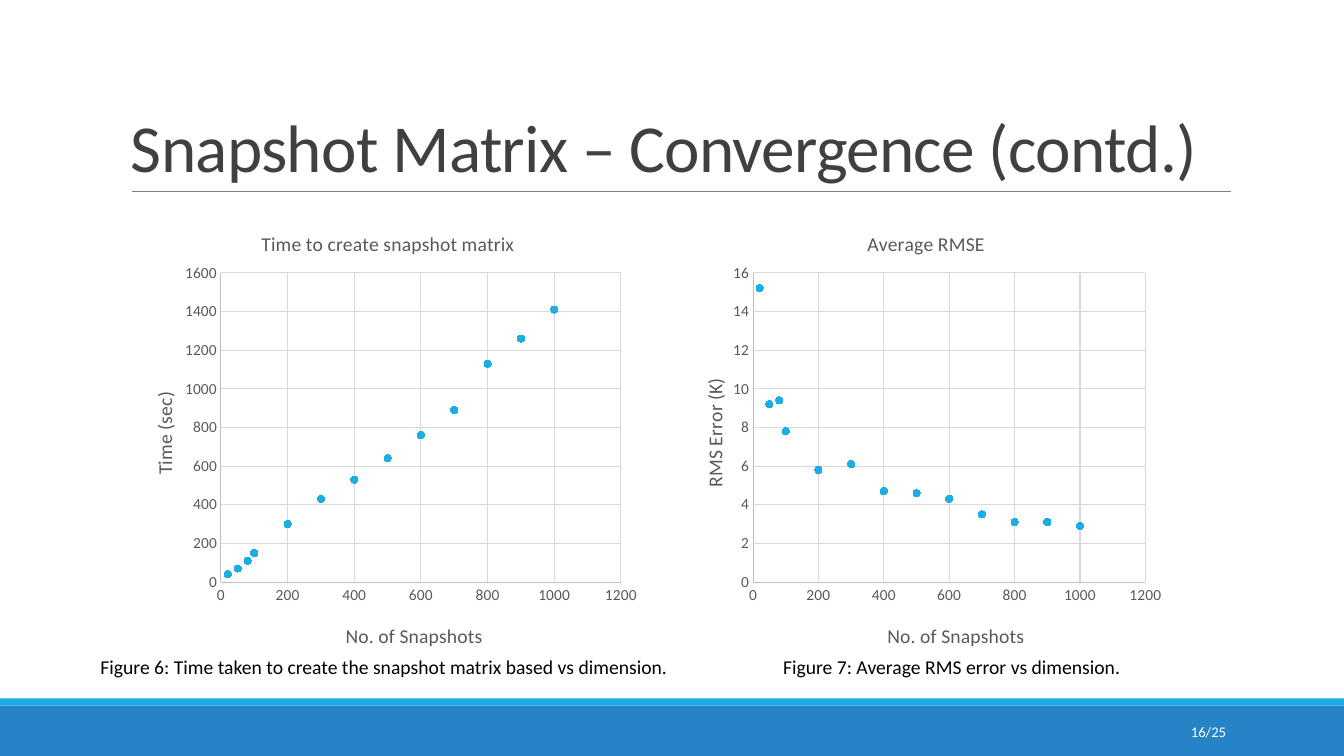
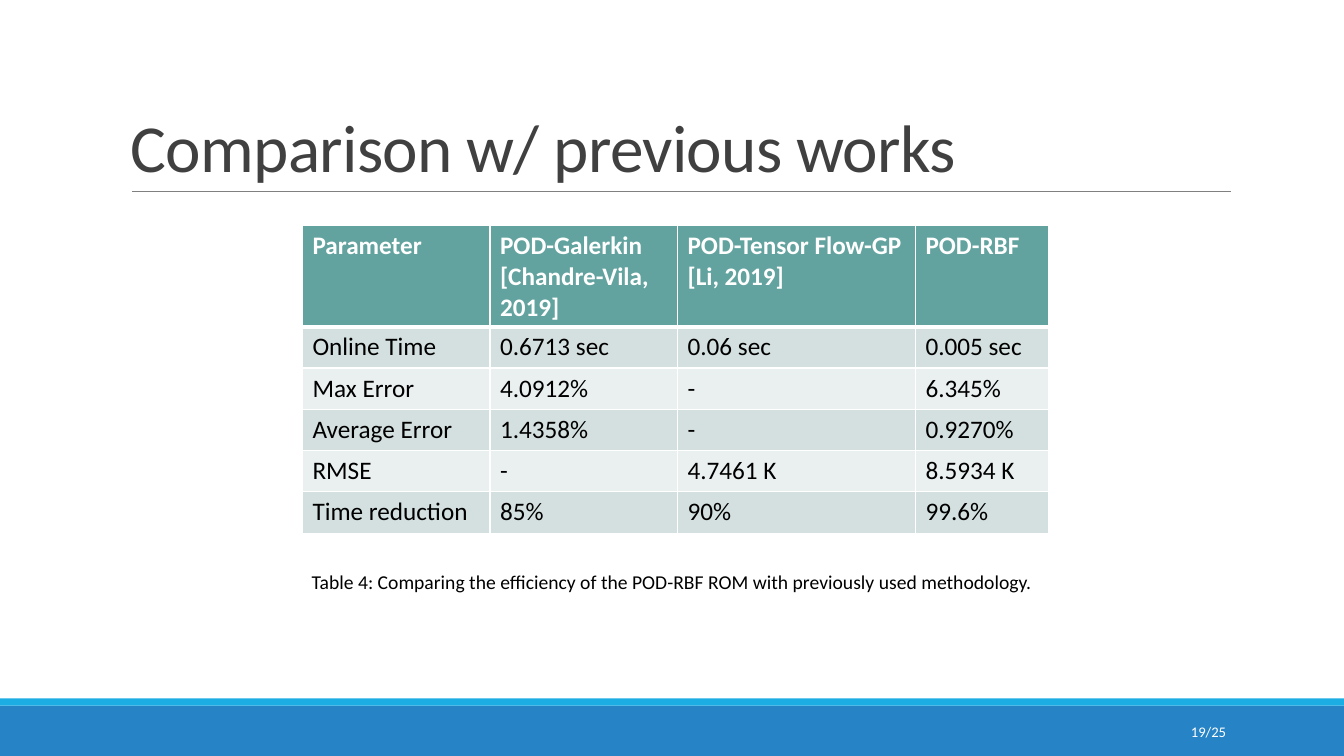
from lxml import etree
from pptx import Presentation
from pptx import util as u
from pptx.chart.data import XyChartData
from pptx.dml.color import RGBColor
from pptx.enum import chart as ch
from pptx.enum import shapes, text
from pptx.oxml import parse_xml
from pptx.oxml.ns import nsdecls, qn

FONT = "Calibri"
BLUE, CYAN, WHITE, BLACK = "2683C6", "1CADE4", "FFFFFF", "000000"
TITLE, RULE, LABEL, AXIS, GRID = "404040", "808080", "595959", "BFBFBF", "D9D9D9"
HEADER, BANDS = "62A39F", ("D3E0DF", "EAF0F0")


def rgb(value):
    return RGBColor.from_string(value)


def set_font(font, size, color, bold=False):
    font.name, font.size, font.bold = FONT, u.Pt(size), bold
    font.color.rgb = rgb(color)


def write(tf, content, size=14, color=BLACK, bold=False, align=None,
          line_spacing=None, tracking=None):
    """Fill a text frame; each line of content becomes a paragraph."""
    for i, line in enumerate(content.split("\n")):
        p = tf.add_paragraph() if i else tf.paragraphs[0]
        p.alignment = align
        p.line_spacing = line_spacing
        r = p.add_run()
        r.text = line
        set_font(r.font, size, color, bold)
        if tracking is not None:
            r.font._element.set("spc", str(int(tracking * 100)))


def set_line(line, color, width):
    line.color.rgb = rgb(color)
    line.width = u.Pt(width)


def manual_layout(x, y, w=None, h=None):
    """Layout element in fractions of the chart; with a size it sets the inner plot."""
    inner = '<c:layoutTarget val="inner"/>' if w else ""
    size = f'<c:w val="{w}"/><c:h val="{h}"/>' if w else ""
    return parse_xml(
        f'<c:layout {nsdecls("c")}><c:manualLayout>{inner}'
        f'<c:xMode val="edge"/><c:yMode val="edge"/>'
        f'<c:x val="{x}"/><c:y val="{y}"/>{size}</c:manualLayout></c:layout>')


def place_title(title, content, x, y):
    write(title.text_frame, content, color=LABEL)
    el = title._element
    for old in el.findall(qn("c:layout")):
        el.remove(old)
    el.find(qn("c:tx")).addnext(manual_layout(x, y))


def set_border(cell, side, width):
    ln = etree.SubElement(cell._tc.get_or_add_tcPr(), qn(f"a:ln{side}"),
                          w=str(u.Pt(width)))
    fill = etree.SubElement(ln, qn("a:solidFill"))
    etree.SubElement(fill, qn("a:srgbClr"), val=WHITE)


class Deck:
    """Holds the shared style and the current slide."""

    def __init__(self):
        self.prs = Presentation()
        self.prs.slide_width, self.prs.slide_height = u.Inches(13.33), u.Inches(7.5)
        self.s = None

    def new_slide(self, title, number):
        self.s = self.prs.slides.add_slide(self.prs.slide_layouts[6])
        self.band(7, 0.5, BLUE)
        self.band(6.93, 0.07, CYAN)
        self.rule(1.31, 12.21, 1.9)
        self.textbox(title, 1.2, 0.31, 11, 1.59, anchor=text.MSO_ANCHOR.BOTTOM,
                     size=48, color=TITLE, line_spacing=0.85, tracking=-0.5)
        self.textbox(number, 10.83, 7.06, 1.43, 0.4, anchor=text.MSO_ANCHOR.MIDDLE,
                     size=10.5, color=WHITE, align=text.PP_ALIGN.RIGHT)

    def band(self, y, h, color):
        sp = self.s.shapes.add_shape(shapes.MSO_SHAPE.RECTANGLE, 0, u.Inches(y),
                                     self.prs.slide_width, u.Inches(h))
        sp.shadow.inherit = False
        sp.fill.solid()
        sp.fill.fore_color.rgb = rgb(color)
        sp.line.fill.background()

    def rule(self, x1, x2, y):
        line = self.s.shapes.add_connector(
            shapes.MSO_CONNECTOR.STRAIGHT,
            u.Inches(x1), u.Inches(y), u.Inches(x2), u.Inches(y))
        set_line(line.line, RULE, 0.5)
        etree.SubElement(line._element.spPr, qn("a:effectLst"))

    def textbox(self, content, x, y, w, h, anchor=text.MSO_ANCHOR.TOP, wrap=True,
                **style):
        tf = self.s.shapes.add_textbox(*map(u.Inches, (x, y, w, h))).text_frame
        tf.word_wrap = wrap
        tf.vertical_anchor = anchor
        write(tf, content, **style)

    def caption(self, content, x, y, w):
        self.textbox(content, x, y, w, 0.34, wrap=False, align=text.PP_ALIGN.CENTER)

    def scatter(self, x, w, points, title, y_title, y_max, y_step, title_x, x_title_x,
                y_title_at, plot_x, plot_w):
        """Scatter chart; the last five arguments are fractions of the chart."""
        data = XyChartData()
        series = data.add_series("Series 1")
        for point in points:
            series.add_data_point(*point)
        chart = self.s.shapes.add_chart(
            ch.XL_CHART_TYPE.XY_SCATTER, *map(u.Inches, (x, 2.02, w, 4.58)), data).chart
        set_font(chart.font, 10, BLACK)
        chart.has_legend = False
        chart.has_title = True
        place_title(chart.chart_title, title, title_x, 0.05)

        plot = chart.plots[0]
        plot.vary_by_categories = False
        ser = plot.series[0]
        ser.format.line.fill.background()
        ser.marker.style, ser.marker.size = ch.XL_MARKER_STYLE.CIRCLE, 5
        ser.marker.format.fill.solid()
        ser.marker.format.fill.fore_color.rgb = rgb(CYAN)
        set_line(ser.marker.format.line, CYAN, 0.75)

        self.axis(chart.category_axis, "No. of Snapshots", (x_title_x, 0.9), 1200, 200)
        self.axis(chart.value_axis, y_title, y_title_at, y_max, y_step)
        area = chart._chartSpace.chart.plotArea
        for old in area.findall(qn("c:layout")):
            area.remove(old)
        area.insert(0, manual_layout(plot_x, 0.15, plot_w, 0.67))

    def axis(self, axis, title, title_at, maximum, step):
        axis.minimum_scale, axis.maximum_scale, axis.major_unit = 0, maximum, step
        axis.major_tick_mark = axis.minor_tick_mark = ch.XL_TICK_MARK.NONE
        axis.has_major_gridlines = True
        set_line(axis.major_gridlines.format.line, GRID, 0.75)
        set_line(axis.format.line, AXIS, 0.75)
        set_font(axis.tick_labels.font, 11, LABEL)
        axis.has_title = True
        place_title(axis.axis_title, title, *title_at)

    def table(self, x, y, col_widths, row_heights, rows):
        table = self.s.shapes.add_table(
            len(rows), len(col_widths), u.Inches(x), u.Inches(y),
            u.Inches(sum(col_widths)), u.Inches(sum(row_heights))).table
        for col, width in zip(table.columns, col_widths):
            col.width = u.Inches(width)
        for row, height in zip(table.rows, row_heights):
            row.height = u.Inches(height)
        for i, row in enumerate(rows):
            head = i == 0
            for j, content in enumerate(row):
                cell = table.cell(i, j)
                for side in "LRTB":
                    heavy = (i, side) in ((0, "B"), (1, "T"))
                    set_border(cell, side, 3 if heavy else 1)
                cell.fill.solid()
                cell.fill.fore_color.rgb = rgb(HEADER if head else BANDS[(i - 1) % 2])
                write(cell.text_frame, content, size=18, bold=head,
                      color=WHITE if head else BLACK)


def convergence_slide(deck):
    snapshots = [20, 50, 80, *range(100, 1001, 100)]
    times = [40, 70, 110, 150, 300, 430, 530, 640, 760, 890, 1130, 1260, 1410]
    errors = [15.2, 9.2, 9.4, 7.8, 5.8, 6.1, 4.7, 4.6, 4.3, 3.5, 3.1, 3.1, 2.9]
    deck.new_slide("Snapshot Matrix – Convergence (contd.)", "16/25")
    deck.scatter(1.2, 5.22, zip(snapshots, times), "Time to create snapshot matrix",
                 "Time (sec)", 1600, 200, title_x=0.26, x_title_x=0.42,
                 y_title_at=(0.05, 0.4), plot_x=0.19, plot_w=0.76)
    deck.scatter(6.67, 4.99, zip(snapshots, errors), "Average RMSE",
                 "RMS Error (K)", 16, 2, title_x=0.38, x_title_x=0.42,
                 y_title_at=(0.05, 0.37), plot_x=0.16, plot_w=0.78)
    deck.caption("Figure 6: Time taken to create the snapshot matrix based vs dimension.",
                 0.87, 6.45, 5.88)
    deck.caption("Figure 7: Average RMS error vs dimension.", 7.65, 6.45, 3.58)


def comparison_slide(deck):
    deck.new_slide("Comparison w/ previous works", "19/25")
    deck.table(3, 2.24, [1.86, 1.86, 2.36, 1.32], [1] + [0.41] * 5, [
        ["Parameter", "POD-Galerkin [Chandre-Vila, 2019]",
         "POD-Tensor Flow-GP\n[Li, 2019]", "POD-RBF"],
        ["Online Time", "0.6713 sec", "0.06 sec", "0.005 sec"],
        ["Max Error", "4.0912%", "-", "6.345%"],
        ["Average Error", "1.4358%", "-", "0.9270%"],
        ["RMSE", "-", "4.7461 K", "8.5934 K"],
        ["Time reduction", "85%", "90%", "99.6%"],
    ])
    deck.caption("Table 4: Comparing the efficiency of the POD-RBF ROM with previously "
                 "used methodology.", 2.96, 5.6, 7.41)


def main():
    deck = Deck()
    convergence_slide(deck)
    comparison_slide(deck)
    deck.prs.save("out.pptx")


if __name__ == "__main__":
    main()
